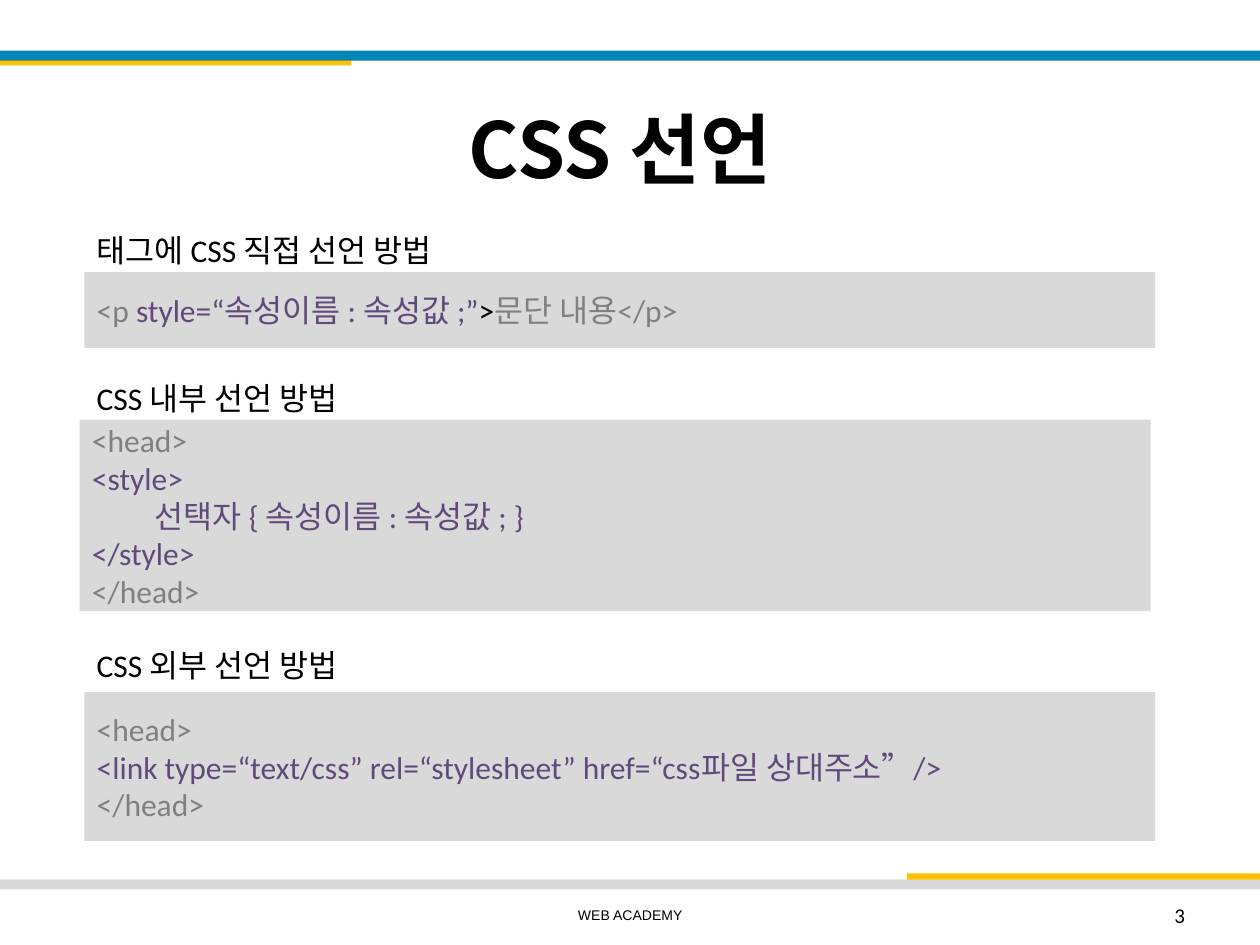
from dataclasses import dataclass

from lxml import etree
from pptx import Presentation
from pptx.dml.color import RGBColor as RGB
from pptx.enum.shapes import MSO_SHAPE as SHAPE
from pptx.enum.text import MSO_ANCHOR as ANCHOR, MSO_AUTO_SIZE as FIT, PP_ALIGN as ALIGN
from pptx.oxml.ns import qn
from pptx.util import Pt


@dataclass(frozen=True)
class Theme:
    """Colours, fonts and type sizes."""
    blue: str = "0085B4"
    gold: str = "FFC000"
    panel: str = "D9D9D9"
    black: str = "000000"
    gray: str = "808080"
    purple: str = "604A7B"
    latin: str = "Calibri"
    korean: str = "Noto Sans CJK KR"
    footer_font: str = "Arial"
    title: float = 44
    body: float = 18
    number: float = 12
    footer: float = 8


class Deck:
    """Holds the theme and the current slide; draws each kind of element."""

    def __init__(self, prs, theme):
        """Start a blank slide."""
        self.t = theme
        self.s = prs.slides.add_slide(prs.slide_layouts[6])

    def bar(self, x, y, w, h, color):
        """Draw a plain filled rectangle."""
        sp = self.s.shapes.add_shape(SHAPE.RECTANGLE, Pt(x), Pt(y), Pt(w), Pt(h))
        sp.shadow.inherit = False
        sp.fill.solid()
        sp.fill.fore_color.rgb = RGB.from_string(color)
        sp.line.fill.background()
        return sp

    def fill_text(self, sp, lines, size, align=ALIGN.LEFT, anchor=ANCHOR.MIDDLE,
                  font=None, bold=False):
        """Fill a shape with lines, each a list of (text, colour) runs."""
        tf = sp.text_frame
        tf.word_wrap = True
        tf.vertical_anchor = anchor
        for i, line in enumerate(lines):
            p = tf.paragraphs[0] if i == 0 else tf.add_paragraph()
            p.alignment = align
            for text, color in line:
                r = p.add_run()
                r.text = text
                r.font.size = Pt(size)
                r.font.bold = bold
                r.font.name = font or self.t.latin
                r.font.color.rgb = RGB.from_string(color)
                ea = etree.SubElement(r.font._element, qn("a:ea"))
                ea.set("typeface", self.t.korean)

    def text(self, x, y, w, h, text, size, **style):
        """Add a one-line black text box."""
        sp = self.s.shapes.add_textbox(Pt(x), Pt(y), Pt(w), Pt(h))
        self.fill_text(sp, [[(text, self.t.black)]], size, **style)
        return sp

    def heading(self, y, text):
        """Add a section heading."""
        sp = self.text(LEFT, y, WIDTH, 29, text, self.t.body, anchor=ANCHOR.TOP)
        sp.text_frame.auto_size = FIT.SHAPE_TO_FIT_TEXT

    def code(self, x, y, h, lines):
        """Add a grey panel with code lines."""
        self.fill_text(self.bar(x, y, WIDTH, h, self.t.panel), lines, self.t.body)


LEFT, WIDTH = 48.2, 612
t = Theme()
HEAD, END_HEAD = [("<head>", t.gray)], [("</head>", t.gray)]
BARS = [
    (-0.7, 33.8, 201.6, 3.6, t.gold),
    (0, 28.9, 720, 5.7, t.blue),
    (0, 502.5, 720, 5.7, t.panel),
    (518.4, 499, 201.6, 3.6, t.gold),
]
SECTIONS = [
    (128.2, "태그에 CSS 직접 선언 방법", LEFT, 155.6, 43.2, [
        [("<p ", t.gray), ("style=“속성이름 : 속성값 ;”", t.purple),
         (">", t.black), ("문단 내용</p>", t.gray)],
    ]),
    (213.1, "CSS 내부 선언 방법", 45.5, 239.8, 109.4, [
        HEAD,
        [("<style>", t.purple)],
        [("\t선택자 { 속성이름 : 속성값 ; }", t.purple)],
        [("</style>", t.purple)],
        END_HEAD,
    ]),
    (365.8, "CSS 외부 선언 방법", LEFT, 395.5, 85, [
        HEAD,
        [("<link type=“text/css” rel=“stylesheet” href=“css파일 상대주소”/>", t.purple)],
        END_HEAD,
    ]),
]


def main():
    """Build and save the slide."""
    prs = Presentation()
    prs.slide_width, prs.slide_height = Pt(720), Pt(540)
    d = Deck(prs, t)
    for bar in BARS:
        d.bar(*bar)
    d.text(-0.7, 49, 720, 71.3, "CSS 선언 ", t.title,
           align=ALIGN.CENTER, font=t.korean, bold=True)
    for heading_y, heading, x, y, h, lines in SECTIONS:
        d.code(x, y, h, lines)
        d.heading(heading_y, heading)
    d.text(246.2, 508.3, 228, 28.8, "WEB ACADEMY", t.footer,
           align=ALIGN.CENTER, font=t.footer_font)
    d.text(516.2, 508.3, 168, 28.8, "3", t.number, align=ALIGN.RIGHT)
    prs.save("out.pptx")


main()
